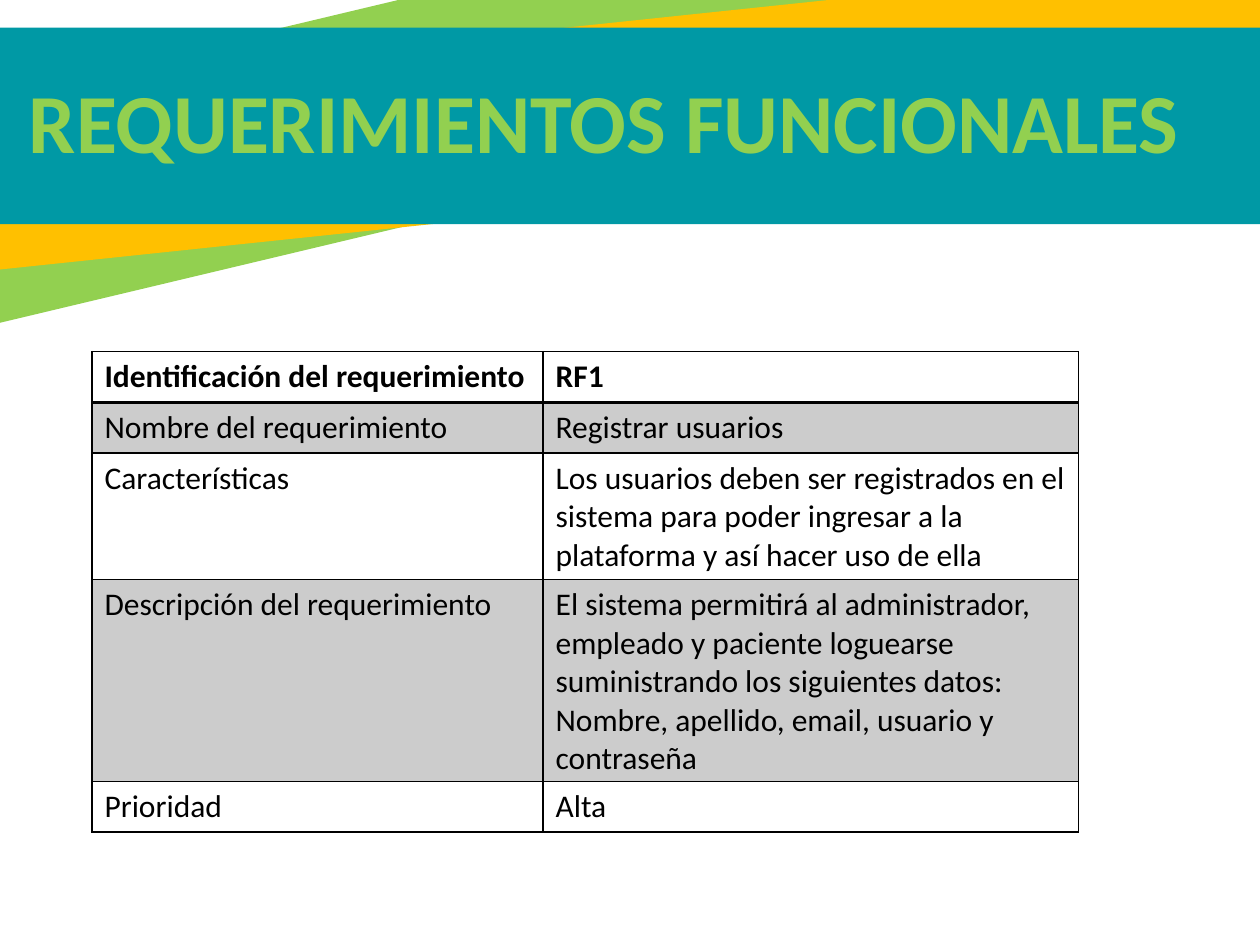
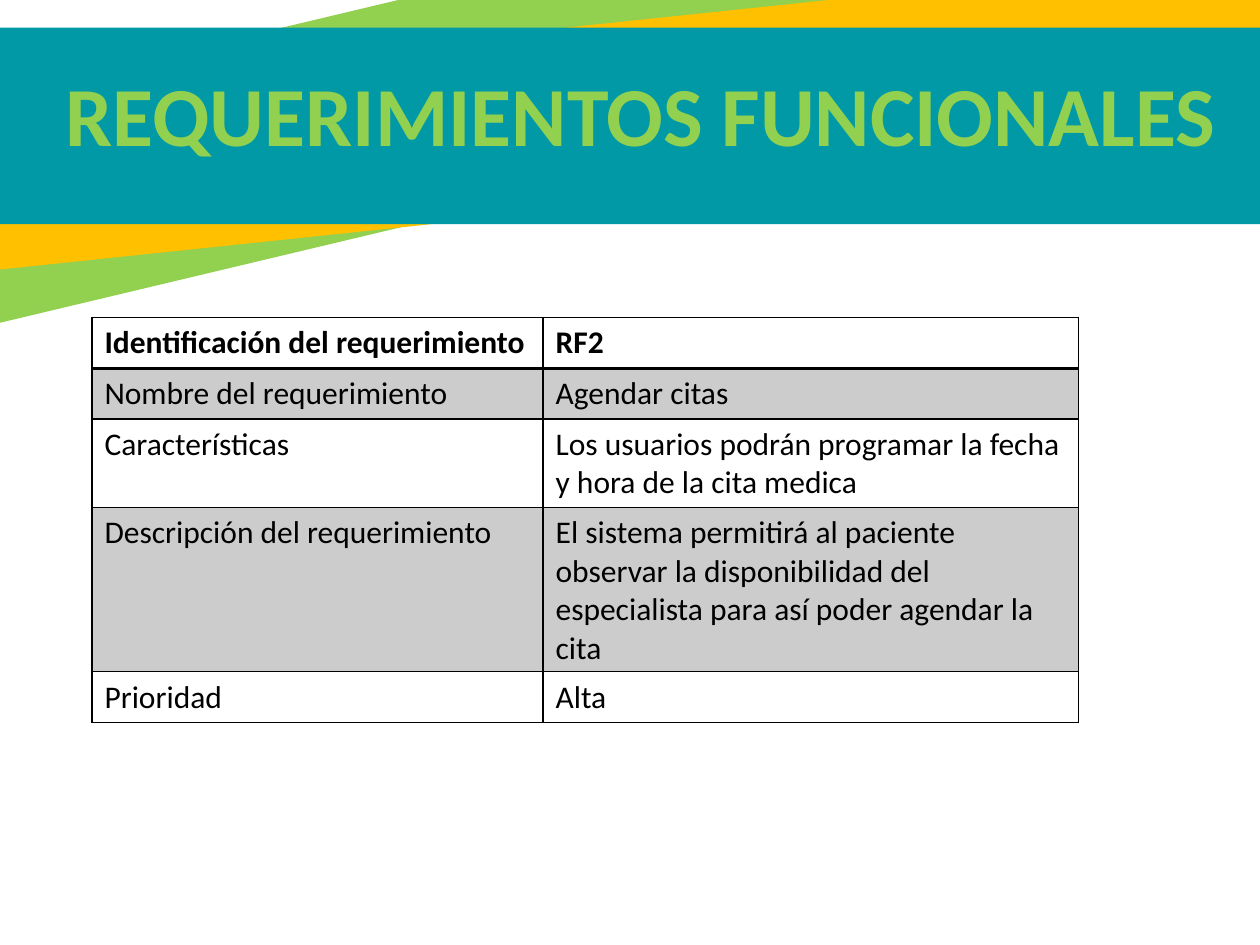
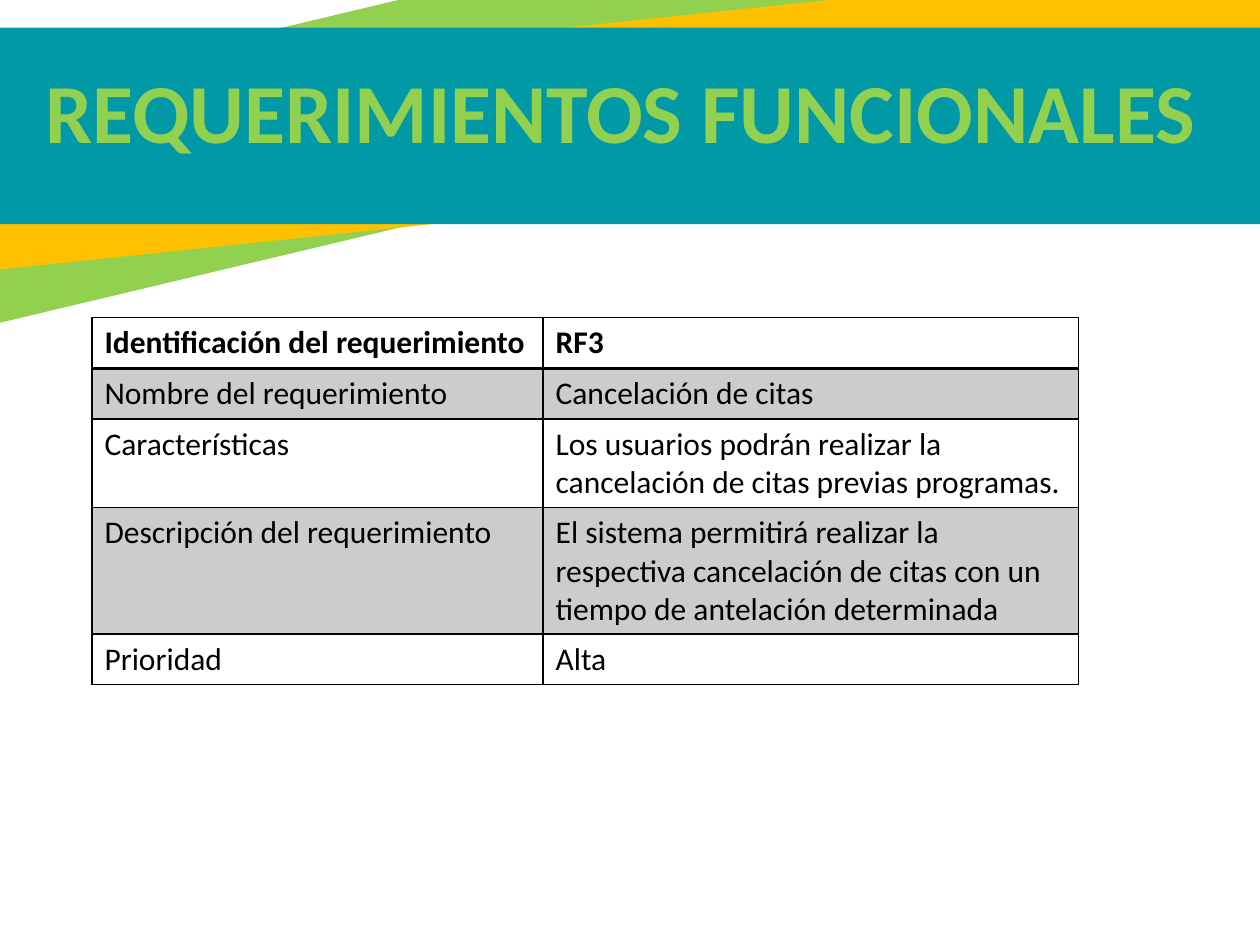
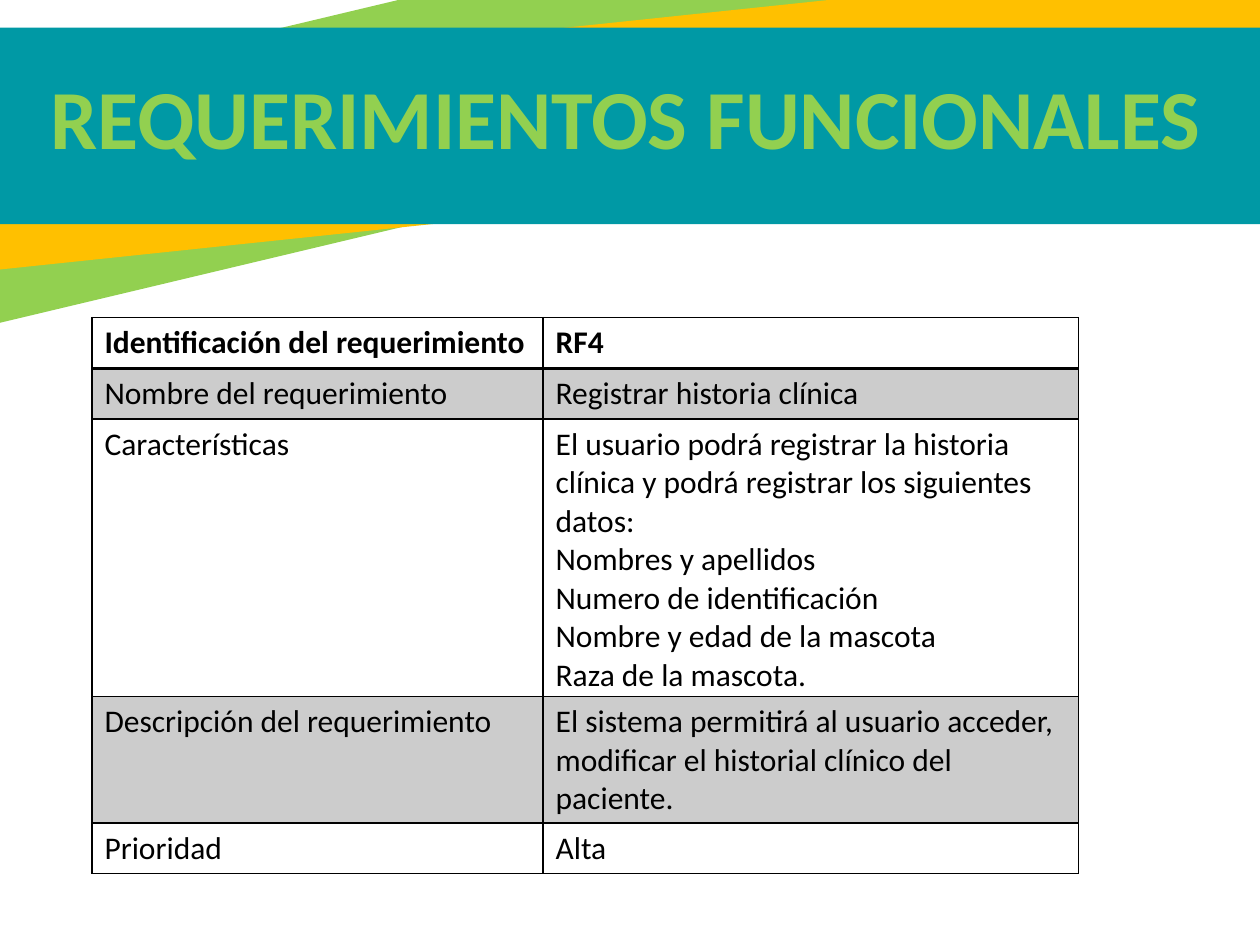
from pptx import Presentation
from pptx.dml.color import RGBColor
from pptx.enum.shapes import MSO_SHAPE
from pptx.enum.text import MSO_ANCHOR, MSO_AUTO_SIZE, PP_ALIGN
from pptx.oxml.ns import qn
from pptx.util import Pt
from lxml import etree

RECT = MSO_SHAPE.RECTANGLE
TOP = MSO_ANCHOR.TOP
FIT = MSO_AUTO_SIZE.SHAPE_TO_FIT_TEXT
LEFT = PP_ALIGN.LEFT

GREEN = RGBColor(0x92, 0xD0, 0x50)
AMBER = RGBColor(0xFF, 0xC0, 0x00)
TEAL = RGBColor(0x00, 0x99, 0xA5)
BLACK = RGBColor(0x00, 0x00, 0x00)
FONT = "Calibri"
TITLE = "REQUERIMIENTOS FUNCIONALES"
LABELS = [
    "Identificación del requerimiento",
    "Nombre del requerimiento",
    "Características",
    "Descripción del requerimiento",
    "Prioridad",
]

# Bands: left, top, width, height, turn, colour
BANDS = [
    (-180.72, -12.96, 940.32, 126.72, 346.6, GREEN),
    (-79.2, 14.4, 837.36, 103.68, 354, AMBER),
    (-76.32, 15.84, 837.36, 112.32, 0, TEAL),
]

# Slides: title box (left, top, width), table top, lines per row, values
PAGES = [
    ((9.36, 36, 782.64), 200.88, (1, 1, 3, 5, 1), [
        "RF1",
        "Registrar usuarios",
        "Los usuarios deben ser registrados en el sistema para poder "
        "ingresar a la plataforma y así hacer uso de ella",
        "El sistema permitirá al administrador, empleado y paciente "
        "loguearse suministrando los siguientes datos:\n"
        "Nombre, apellido, email, usuario y contraseña",
        "Alta",
    ]),
    ((30.24, 32.4, 689.76), 181.44, (1, 1, 2, 4, 1), [
        "RF2",
        "Agendar citas",
        "Los usuarios podrán programar la fecha y hora de la cita medica",
        "El sistema permitirá al paciente observar la disponibilidad del "
        "especialista para así poder agendar la cita",
        "Alta",
    ]),
    ((18.72, 30.24, 689.76), 181.44, (1, 1, 2, 3, 1), [
        "RF3",
        "Cancelación de citas",
        "Los usuarios podrán realizar la cancelación de citas previas "
        "programas.",
        "El sistema permitirá realizar la respectiva cancelación de citas "
        "con un tiempo de antelación determinada",
        "Alta",
    ]),
    ((21.6, 33.84, 689.76), 181.44, (1, 1, 7, 3, 1), [
        "RF4",
        "Registrar historia clínica",
        "El usuario podrá registrar la historia clínica y podrá registrar "
        "los siguientes datos:\nNombres y apellidos\n"
        "Numero de identificación\nNombre y edad de la mascota\n"
        "Raza de la mascota.",
        "El sistema permitirá al usuario acceder, modificar el historial "
        "clínico del paciente.",
        "Alta",
    ]),
]


def style(para, size, color, bold):
    for run in para.runs:
        run.font.name = FONT
        run.font.size = Pt(size)
        run.font.bold = bold
        run.font.color.rgb = color


def edge(cell, side, width):
    props = cell._tc.get_or_add_tcPr()
    line = etree.SubElement(props, qn("a:" + side), w=str(Pt(width)))
    fill = etree.SubElement(line, qn("a:solidFill"))
    etree.SubElement(fill, qn("a:srgbClr"), val=str(BLACK))


deck = Presentation()
deck.slide_width, deck.slide_height = Pt(720), Pt(540)
layout = deck.slide_layouts[5]

for page, (box, top, lines, values) in enumerate(PAGES):
    slide = deck.slides.add_slide(layout)

    # Bands are drawn once and moved into the shared layout
    if page == 0:
        for x, y, w, h, turn, color in BANDS:
            band = slide.shapes.add_shape(RECT, Pt(x), Pt(y), Pt(w), Pt(h))
            band.rotation = turn
            band.shadow.inherit = False
            band.fill.solid()
            band.fill.fore_color.rgb = color
            band.line.fill.background()
            layout.shapes.element.append(band.element)

    # Title
    title = slide.shapes.title
    title.left, title.top, title.width = [Pt(n) for n in box]
    title.height = Pt(65.52)
    frame = title.text_frame
    frame.text = TITLE
    frame.word_wrap = True
    frame.auto_size = FIT
    frame.vertical_anchor = TOP
    frame.paragraphs[0].alignment = LEFT
    style(frame.paragraphs[0], 48, GREEN, True)

    # Table
    highs = [7.4 + 21.6 * n for n in lines]
    table = slide.shapes.add_table(
        len(LABELS), 2, Pt(52.56), Pt(top), Pt(563.76), Pt(sum(highs))).table
    table.horz_banding = False
    table.columns[0].width = Pt(257.76)
    table.columns[1].width = Pt(306)
    for r, pair in enumerate(zip(LABELS, values)):
        table.rows[r].height = Pt(highs[r])
        for c, text in enumerate(pair):
            cell = table.cell(r, c)
            para = cell.text_frame.paragraphs[0]
            para.text = text
            style(para, 18, BLACK, r == 0)
            edge(cell, "lnL", 1)
            edge(cell, "lnR", 1)
            edge(cell, "lnT", 2 if r == 1 else 1)
            edge(cell, "lnB", 2 if r == 0 else 1)
            if r % 2:
                cell.fill.solid()
                cell.fill.fore_color.rgb = BLACK
                tint = cell._tc.tcPr.find(
                    qn("a:solidFill") + "/" + qn("a:srgbClr"))
                etree.SubElement(tint, qn("a:alpha"), val="20000")
            else:
                cell.fill.background()

deck.save("out.pptx")
